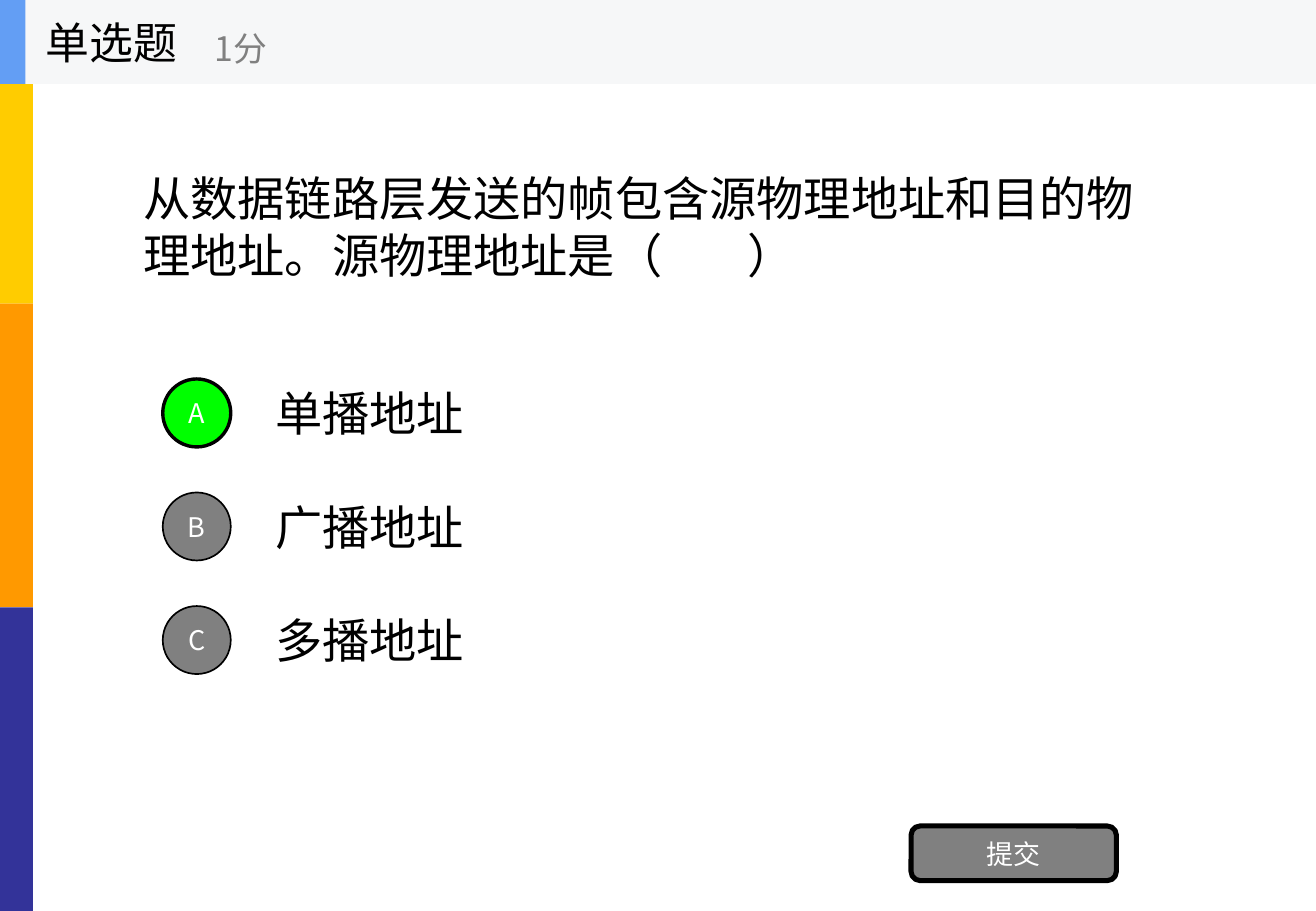
from dataclasses import dataclass

from lxml.etree import SubElement
from pptx import Presentation
from pptx.dml.color import RGBColor as Rgb
from pptx.enum.shapes import MSO_SHAPE as Kind
from pptx.enum.text import MSO_ANCHOR as Anchor, MSO_AUTO_SIZE as Fit, PP_ALIGN as Align
from pptx.oxml.ns import qn
from pptx.util import Pt

FONT = "Noto Sans CJK SC"
HEX = {
    "black": "000000", "white": "FFFFFF", "gray": "808080", "green": "00FF00",
    "yellow": "FFCC00", "orange": "FF9900", "navy": "333399",
    "pale": "F6F7F8", "blue": "639EF4",
}
WIDTH, HEIGHT = 780, 540
HEAD = 49.7
BAND = HEIGHT / 3
ROW, PITCH = 244.8, 67.3  # centre of the first option, step to the next
DOT, LINE = 40.3, 50.4  # heights of an option's circle and its text


@dataclass
class Box:
    left: float
    top: float
    width: float
    height: float


@dataclass
class Option:
    mark: str
    text: str
    fill: str = "gray"
    edge: float = 1


OPTIONS = [
    Option("A", "单播地址", "green", 2),
    Option("B", "广播地址"),
    Option("C", "多播地址"),
]


def write(shape, text: str, size: float, color: str = "black",
          align: Align = Align.LEFT, tab: float = 0) -> None:
    """Fill a shape with one centred-in-height paragraph, with a tab stop if given."""
    frame = shape.text_frame
    frame.word_wrap = True
    frame.auto_size = Fit.NONE
    frame.vertical_anchor = Anchor.MIDDLE
    frame.text = text
    para = frame.paragraphs[0]
    para.alignment = align
    props = para._p.get_or_add_pPr()
    if tab:
        stops = SubElement(props, qn("a:tabLst"))
        SubElement(stops, qn("a:tab"), pos=str(Pt(tab)), algn="l")
    font = para.font
    font.size = Pt(size)
    font.color.rgb = Rgb.from_string(HEX[color])
    font.name = FONT
    SubElement(props.find(qn("a:defRPr")), qn("a:ea"), typeface=FONT)


def place(shape, box: Box) -> None:
    shape.left, shape.top = Pt(box.left), Pt(box.top)
    shape.width, shape.height = Pt(box.width), Pt(box.height)


def label(slide, box: Box, text: str, size: float, color: str = "black") -> None:
    shape = slide.shapes.add_textbox(0, 0, 0, 0)
    place(shape, box)
    write(shape, text, size, color)


def draw(slide, kind: Kind, box: Box, fill: str, edge: float = 0, text: str = "") -> None:
    """Add a filled shape, with a black outline and white text if given."""
    shape = slide.shapes.add_shape(kind, 0, 0, 0, 0)
    place(shape, box)
    shape.shadow.inherit = False
    shape.fill.solid()
    shape.fill.fore_color.rgb = Rgb.from_string(HEX[fill])
    if edge:
        shape.line.color.rgb = Rgb.from_string(HEX["black"])
        shape.line.width = Pt(edge)
    else:
        shape.line.fill.background()
    if text:
        frame = shape.text_frame
        frame.margin_left = frame.margin_right = 0
        frame.margin_top = frame.margin_bottom = 0
        write(shape, text, 16, "white", Align.CENTER)


def main() -> None:
    deck = Presentation()
    deck.slide_width, deck.slide_height = Pt(WIDTH), Pt(HEIGHT)
    slide = deck.slides.add_slide(deck.slide_layouts[5])

    title = slide.shapes.title
    place(title, Box(77.8, HEAD, 624.2, 168.5))
    write(title, "从数据链路层发送的帧包含源物理地址和目的物理地址。源物理地址是（\t）", 28, tab=358)

    for i, color in enumerate(("yellow", "orange", "navy")):
        draw(slide, Kind.RECTANGLE, Box(0, i * BAND, 19.5, BAND), color)

    for i, option in enumerate(OPTIONS):
        mid = ROW + i * PITCH
        label(slide, Box(156.2, mid - LINE / 2, 545.8, LINE), option.text, 28)
        draw(slide, Kind.OVAL, Box(96.5, mid - DOT / 2, DOT, DOT),
             option.fill, option.edge, option.mark)

    draw(slide, Kind.ROUNDED_RECTANGLE, Box(540, 489.6, 121.7, 32.4), "gray", 3, "提交")

    draw(slide, Kind.RECTANGLE, Box(0, 0, WIDTH, HEAD), "pale")
    draw(slide, Kind.RECTANGLE, Box(0, 0, 15, HEAD), "blue")
    label(slide, Box(20, 0, 150, HEAD), "单选题", 26)
    label(slide, Box(120, 8.6, 180, 40.3), "1分", 20, "gray")

    deck.save("out.pptx")


if __name__ == "__main__":
    main()
